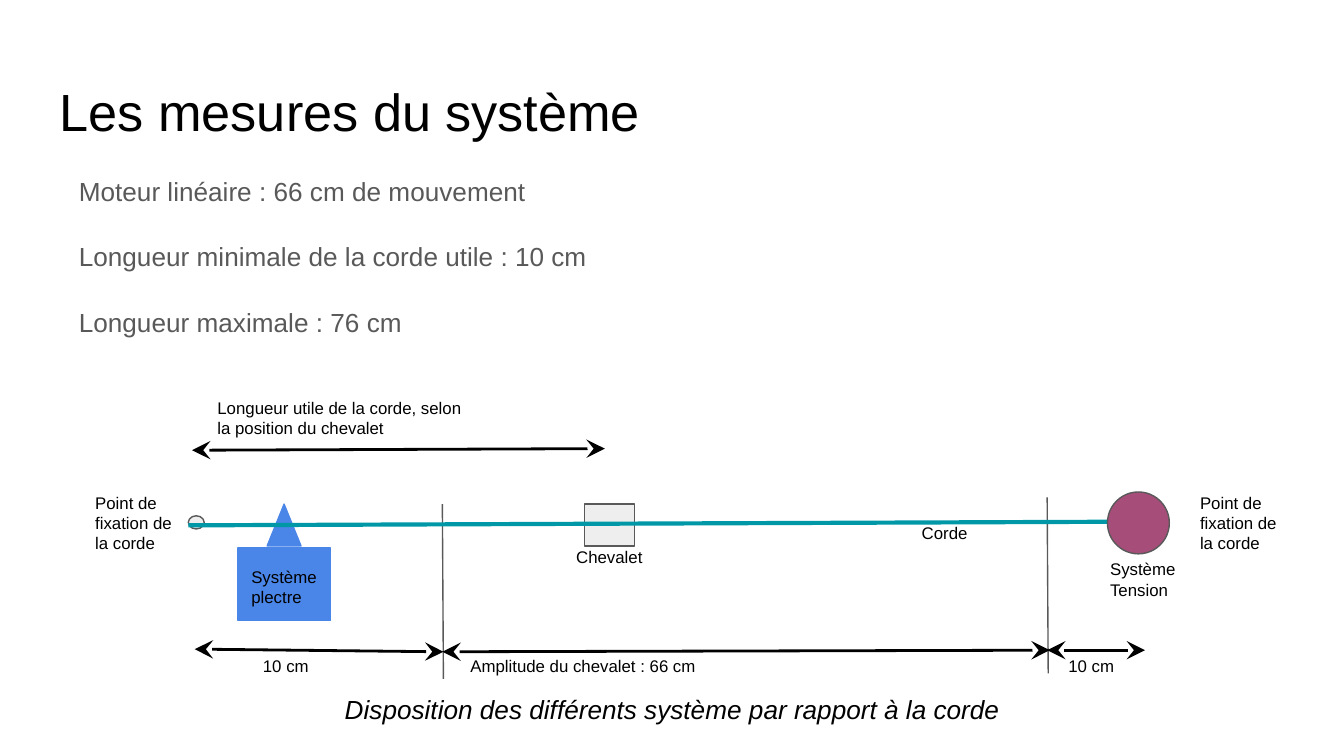
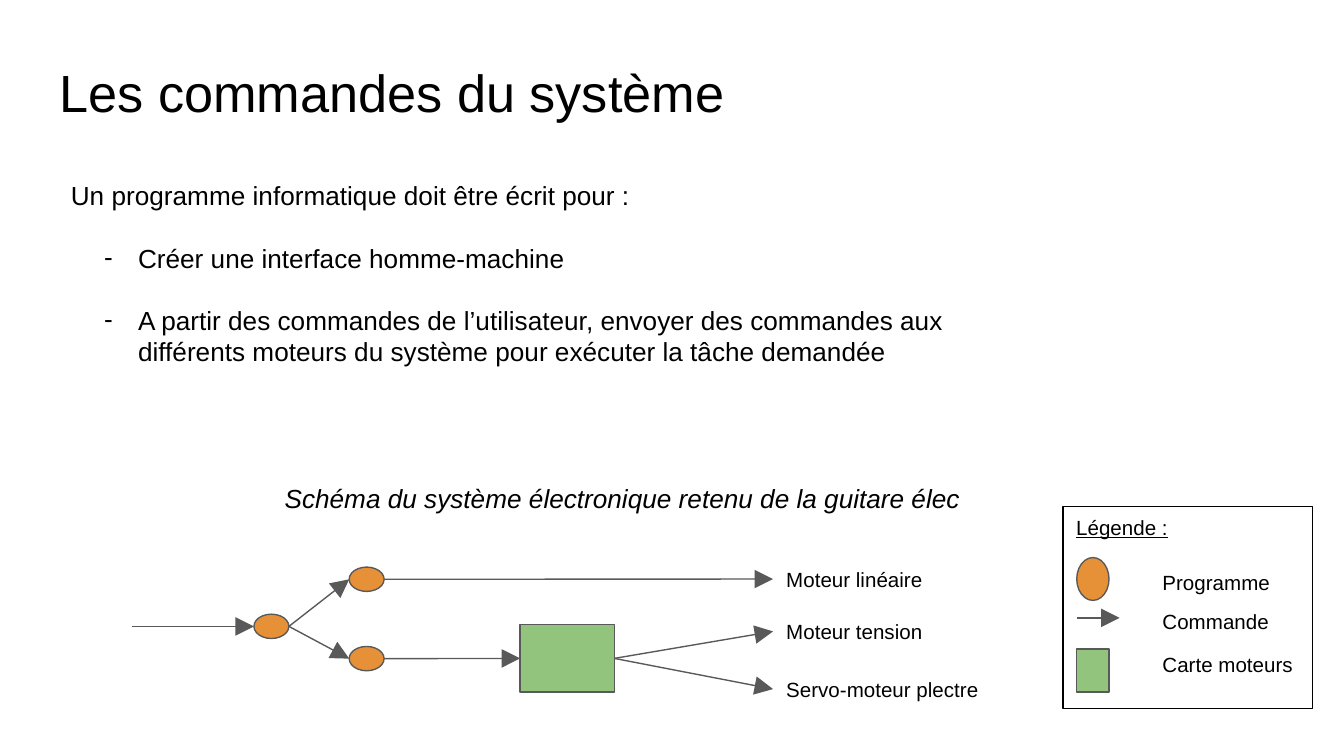
"""Build two slides on the measurements and the commands of a string instrument system."""
from dataclasses import dataclass
from typing import Any, NamedTuple, Optional

from lxml import etree
import pptx
import pptx.dml.color
import pptx.enum.shapes
import pptx.enum.text
import pptx.oxml.ns
import pptx.util

Cm = pptx.util.Cm
Pt = pptx.util.Pt
qn = pptx.oxml.ns.qn
RGBColor = pptx.dml.color.RGBColor
PRESET = pptx.enum.shapes.MSO_SHAPE
TOP = pptx.enum.text.MSO_ANCHOR.TOP
MIDDLE = pptx.enum.text.MSO_ANCHOR.MIDDLE
LEFT = pptx.enum.text.PP_ALIGN.LEFT
CENTER = pptx.enum.text.PP_ALIGN.CENTER
LEFT_SIDE, RIGHT_SIDE = 1, 3


@dataclass(frozen=True)
class Theme:
    font: str = "Arial"
    ink: str = "000000"
    gray: str = "595959"
    pale: str = "EEEEEE"
    blue: str = "4A86E8"
    teal: str = "0097A7"
    plum: str = "A64D79"
    orange: str = "E69138"
    green: str = "93C47D"
    title: int = 28
    body: int = 14
    legend: int = 11
    label: int = 9
    thin: float = 0.75
    medium: float = 1.5
    thick: float = 2.25
    inset: float = 0.25


THEME = Theme()


class Box(NamedTuple):
    left: float
    top: float
    width: float
    height: float

    @property
    def middle(self) -> float:
        return self.top + self.height / 2

    @property
    def right(self) -> float:
        return self.left + self.width


class Point(NamedTuple):
    x: float
    y: float


class Joint(NamedTuple):
    shape: Any
    site: int


@dataclass(frozen=True)
class Label:
    text: str
    box: Box
    size: int = THEME.label
    color: str = THEME.ink
    anchor: Any = TOP
    align: Any = LEFT
    italic: bool = False
    underline: bool = False
    line_spacing: Optional[float] = None
    space_after: float = 0


@dataclass(frozen=True)
class Figure:
    preset: Any
    box: Box
    fill: Optional[str]
    outline: str = THEME.gray


@dataclass(frozen=True)
class Link:
    start: Point
    end: Point
    color: str = THEME.gray
    width: float = THEME.thin
    head: Optional[str] = None
    tail: Optional[str] = None


def apply_format(target: Any, values: dict[str, Any]) -> None:
    """Set each named attribute of the target."""
    for name, value in values.items():
        setattr(target, name, value)


def place(box: Box) -> list[Any]:
    """Turn a box into lengths."""
    return [Cm(value) for value in box]


def draw_label(slide: Any, label: Label) -> Any:
    """Draw a text box with one paragraph per line of text."""
    shape = slide.shapes.add_textbox(*place(label.box))
    frame = shape.text_frame
    inset = Cm(THEME.inset)
    apply_format(frame, {
        "word_wrap": True, "vertical_anchor": label.anchor,
        "margin_left": inset, "margin_right": inset,
        "margin_top": inset, "margin_bottom": inset,
    })
    frame.text = label.text
    for paragraph in frame.paragraphs:
        apply_format(paragraph, {
            "alignment": label.align, "line_spacing": label.line_spacing,
            "space_after": Pt(label.space_after),
        })
        font = paragraph.runs[0].font
        apply_format(font, {
            "name": THEME.font, "size": Pt(label.size),
            "italic": label.italic, "underline": label.underline,
        })
        font.color.rgb = RGBColor.from_string(label.color)
    return shape


def add_dash(paragraph: Any) -> None:
    """Give a paragraph a hanging dash bullet."""
    properties = paragraph._p.get_or_add_pPr()
    properties.set("marL", str(Cm(1.27)))
    properties.set("indent", str(-Cm(0.64)))
    etree.SubElement(properties, qn("a:buFont")).set("typeface", THEME.font)
    etree.SubElement(properties, qn("a:buChar")).set("char", "-")


def draw_figure(slide: Any, figure: Figure) -> Any:
    """Draw a preset shape with its fill and outline."""
    shape = slide.shapes.add_shape(figure.preset, *place(figure.box))
    shape.shadow.inherit = False
    if figure.fill is None:
        shape.fill.background()
    else:
        shape.fill.solid()
        shape.fill.fore_color.rgb = RGBColor.from_string(figure.fill)
    shape.line.color.rgb = RGBColor.from_string(figure.outline)
    shape.line.width = Pt(THEME.thin)
    return shape


def draw_link(slide: Any, link: Link, begin: Optional[Joint] = None,
              finish: Optional[Joint] = None) -> None:
    """Draw a straight connector, joined to shapes where given."""
    connector = slide.shapes.add_connector(
        pptx.enum.shapes.MSO_CONNECTOR.STRAIGHT,
        *(Cm(value) for value in (*link.start, *link.end)))
    if begin:
        connector.begin_connect(*begin)
    if finish:
        connector.end_connect(*finish)
    connector.line.color.rgb = RGBColor.from_string(link.color)
    connector.line.width = Pt(link.width)
    properties = connector.element.spPr
    outline = properties.find(qn("a:ln"))
    for tag, kind in (("a:headEnd", link.head), ("a:tailEnd", link.tail)):
        if kind:
            etree.SubElement(outline, qn(tag), {"type": kind, "w": "lg", "len": "lg"})
    etree.SubElement(properties, qn("a:effectLst"))


def add_slide(presentation: Any, title: str, box: Box) -> Any:
    """Add a blank slide with a title."""
    slide = presentation.slides.add_slide(presentation.slide_layouts[6])
    draw_label(slide, Label(title, box, THEME.title))
    return slide


def span(start: Point, end: Point) -> Link:
    """Describe a dimension line with an arrowhead at both ends."""
    return Link(start, end, THEME.ink, THEME.medium, "stealth", "stealth")


def arrow(start: Point, end: Point) -> Link:
    """Describe a command arrow."""
    return Link(start, end, tail="triangle")


def build_measures(presentation: Any) -> None:
    """Build the slide on the measurements of the system."""
    slide = add_slide(presentation, "Les mesures du système", Box(0.88, 1.24, 23.67, 1.6))
    draw_label(slide, Label(
        "Moteur linéaire : 66 cm de mouvement\n"
        "Longueur minimale de la corde utile : 10 cm\n"
        "Longueur maximale : 76 cm",
        Box(1.24, 2.97, 23.67, 3.94), THEME.body, THEME.gray,
        line_spacing=1.15, space_after=16))

    for figure in (
        Figure(PRESET.RECTANGLE, Box(4.5, 10.36, 1.75, 1.37), THEME.blue, THEME.blue),
        Figure(PRESET.ISOSCELES_TRIANGLE, Box(5.05, 9.53, 0.64, 0.79), THEME.blue, THEME.blue),
        Figure(PRESET.RECTANGLE, Box(11.05, 9.53, 0.94, 0.79), THEME.pale),
        Figure(PRESET.OVAL, Box(3.56, 9.75, 0.3, 0.25), THEME.pale),
    ):
        draw_figure(slide, figure)

    for link in (
        Link(Point(8.36, 9.53), Point(8.38, 12.83)),
        Link(Point(19.79, 9.4), Point(19.81, 12.73)),
        Link(Point(3.56, 9.93), Point(21.54, 9.86), THEME.teal, THEME.thick),
        span(Point(3.63, 8.51), Point(11.43, 8.48)),
        span(Point(8.36, 12.32), Point(19.84, 12.29)),
        span(Point(3.68, 12.27), Point(8.38, 12.32)),
        span(Point(19.79, 12.29), Point(21.64, 12.29)),
    ):
        draw_link(slide, link)

    draw_figure(slide, Figure(PRESET.OVAL, Box(20.93, 9.3, 1.17, 1.17), THEME.plum))

    for text, box in (
        ("Système plectre", Box(4.5, 10.46, 1.75, 1.17)),
        ("Chevalet", Box(10.64, 10.14, 2.13, 0.99)),
        ("Corde", Box(17.17, 9.7, 1.9, 0.38)),
        ("Longueur utile de la corde, selon la position du chevalet",
         Box(3.86, 7.52, 5.31, 0.25)),
        ("Système Tension", Box(20.73, 10.44, 2.46, 0.38)),
    ):
        draw_label(slide, Label(text, box))

    for left in (1.55, 22.43):
        draw_label(slide, Label("Point de fixation de la corde",
                                Box(left, 8.92, 1.98, 1.93), anchor=MIDDLE))
    for text, left, width in (
        ("10 cm", 4.72, 1.9),
        ("Amplitude du chevalet : 66 cm", 8.64, 6.48),
        ("10 cm", 19.94, 1.9),
    ):
        draw_label(slide, Label(text, Box(left, 12.4, width, 0.38), anchor=MIDDLE))

    draw_label(slide, Label(
        "Disposition des différents système par rapport à la corde",
        Box(5.51, 13.11, 14.4, 0.58), THEME.body,
        anchor=MIDDLE, align=CENTER, italic=True))


def draw_legend(slide: Any) -> None:
    """Draw the framed legend."""
    draw_figure(slide, Figure(PRESET.RECTANGLE, Box(20.09, 9.58, 4.72, 3.81), None, THEME.ink))
    draw_label(slide, Label("Légende :", Box(20.09, 9.5, 2.79, 0.46),
                            THEME.legend, underline=True))
    for preset, top, fill in ((PRESET.OVAL, 10.54, THEME.orange),
                              (PRESET.RECTANGLE, 12.27, THEME.green)):
        draw_figure(slide, Figure(preset, Box(20.35, top, 0.61, 0.81), fill))
    draw_link(slide, arrow(Point(20.35, 11.68), Point(21.16, 11.68)))
    for text, top in (("Programme", 10.54), ("Commande", 11.28), ("Carte moteurs", 12.09)):
        draw_label(slide, Label(text, Box(21.72, top, 3.07, 0.81), THEME.legend))


def build_commands(presentation: Any) -> None:
    """Build the slide on the commands of the system."""
    slide = add_slide(presentation, "Les commandes du système", Box(0.88, 0.89, 17.12, 2.31))
    tasks = draw_label(slide, Label(
        "Un programme informatique doit être écrit pour :\n"
        "Créer une interface homme-machine\n"
        "A partir des commandes de l’utilisateur, envoyer des commandes aux "
        "différents moteurs du système pour exécuter la tâche demandée",
        Box(1.09, 3.15, 18.44, 5.36), THEME.body, space_after=16.5))
    for paragraph in tasks.text_frame.paragraphs[1:]:
        add_dash(paragraph)
    draw_legend(slide)
    draw_label(slide, Label(
        "Schéma du système électronique retenu de la guitare élec",
        Box(5.13, 8.86, 14.05, 0.81), THEME.body, italic=True))

    entry, upper, lower = programs = [
        Box(left, top, 0.66, 0.46) for left, top in ((4.8, 11.61), (6.6, 10.72), (6.6, 12.22))]
    for box in programs:
        draw_figure(slide, Figure(PRESET.OVAL, box, THEME.orange))
    card_box = Box(9.83, 11.81, 1.78, 1.27)
    card = draw_figure(slide, Figure(PRESET.RECTANGLE, card_box, THEME.green))

    draw_link(slide, arrow(Point(2.49, entry.middle), Point(entry.left, entry.middle)))
    for box in (upper, lower):
        draw_link(slide, arrow(Point(entry.right, entry.middle), Point(box.left, box.middle)))
    draw_link(slide, arrow(Point(lower.right, lower.middle),
                           Point(card_box.left, card_box.middle)),
              finish=Joint(card, LEFT_SIDE))

    from_card = Joint(card, RIGHT_SIDE)
    for text, top, width, source, begin in (
        ("Moteur linéaire", 10.59, 3.1, upper, None),
        ("Moteur tension", 11.58, 5.21, card_box, from_card),
        ("Servo-moteur plectre", 12.67, 4.72, card_box, from_card),
    ):
        box = Box(14.61, top, width, 0.71)
        motor = draw_label(slide, Label(text, box, THEME.legend, anchor=MIDDLE))
        draw_link(slide, arrow(Point(source.right, source.middle), Point(box.left, box.middle)),
                  begin, Joint(motor, LEFT_SIDE))


def main() -> None:
    """Build and save the presentation."""
    presentation = pptx.Presentation()
    apply_format(presentation, {"slide_width": Cm(25.4), "slide_height": Cm(14.29)})
    build_measures(presentation)
    build_commands(presentation)
    presentation.save("out.pptx")


if __name__ == "__main__":
    main()
